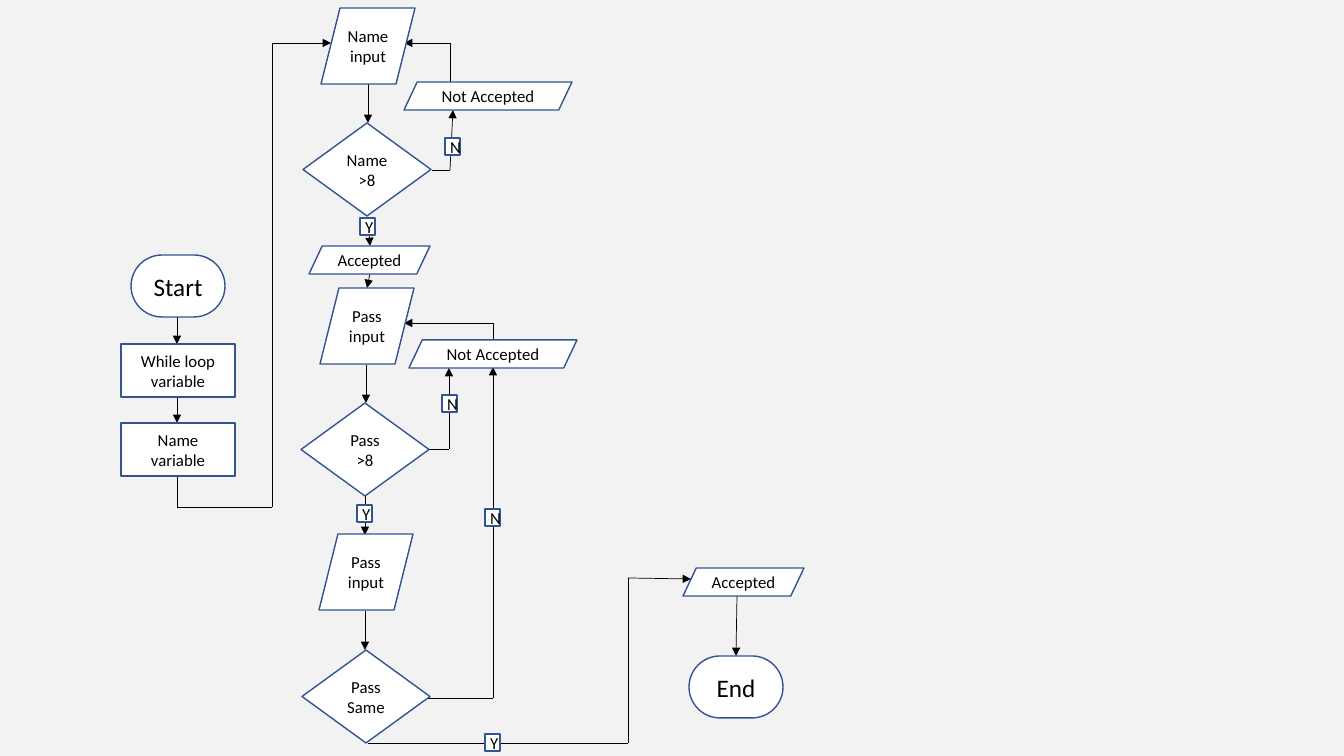
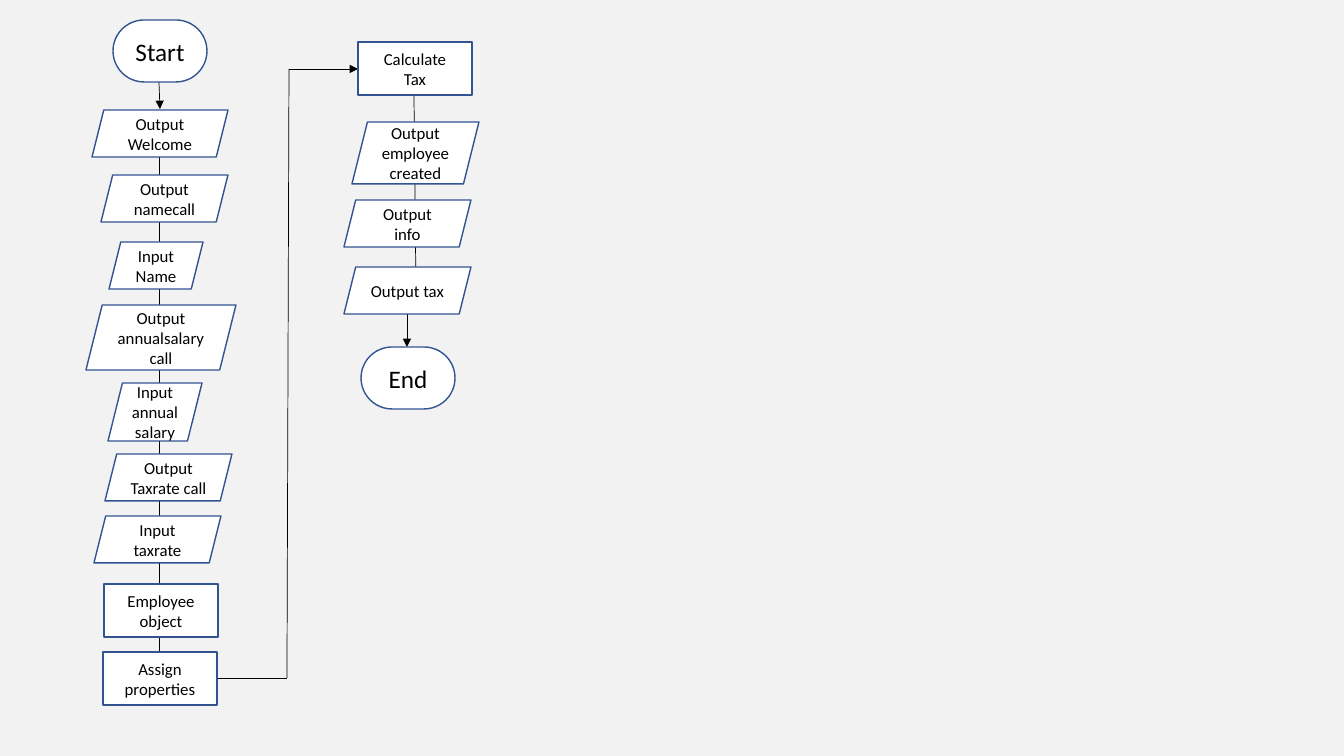
"""Builds two flowchart slides: a sign-up check and a payroll program."""
from dataclasses import dataclass
from itertools import pairwise

from pptx import Presentation
from pptx.dml.color import RGBColor
from pptx.enum.shapes import MSO_CONNECTOR, MSO_SHAPE
from pptx.enum.text import MSO_ANCHOR, PP_ALIGN
from pptx.oxml.ns import qn
from pptx.slide import Slide
from pptx.util import Emu, Pt
from lxml.etree import SubElement

EMU_PER_PX = 914400 / 100.8
COLORS = {"back": "F2F2F2", "box": "FFFFFF", "outline": "325491", "ink": "000000"}
FONT = "Calibri"


@dataclass(frozen=True)
class Kind:
    shape: MSO_SHAPE
    w: int
    h: int
    adj: float | None = None
    size: int = 12


@dataclass(frozen=True)
class Node:
    kind: Kind
    x: int
    y: int
    text: str
    w: int | None = None
    h: int | None = None


@dataclass(frozen=True)
class Route:
    points: list[tuple[int, int]]
    arrow: bool = True


TERMINAL = Kind(MSO_SHAPE.ROUNDED_RECTANGLE, 94, 62, 0.5, 18)
PROCESS = Kind(MSO_SHAPE.RECTANGLE, 114, 53)
DECISION = Kind(MSO_SHAPE.FLOWCHART_DECISION, 128, 93)
PROMPT = Kind(MSO_SHAPE.PARALLELOGRAM, 94, 76)
MESSAGE = Kind(MSO_SHAPE.PARALLELOGRAM, 121, 28, 0.472)
REJECT = Kind(MSO_SHAPE.PARALLELOGRAM, 168, 28, 0.472)
DATA = Kind(MSO_SHAPE.PARALLELOGRAM, 127, 47)
TAG = Kind(MSO_SHAPE.RECTANGLE, 15, 17)

SIGN_UP_ROUTES = [
    Route([(177, 317), (177, 344)]),
    Route([(177, 397), (177, 423)]),
    Route([(177, 477), (177, 507), (272, 507), (272, 43), (331, 43)]),
    Route([(368, 84), (368, 123)]),
    Route([(368, 217), (370, 246)]),
    Route([(370, 274), (367, 288)]),
    Route([(366, 365), (366, 403)]),
    Route([(365, 496), (365, 535)]),
    Route([(365, 611), (365, 650)]),
    Route([(368, 743), (628, 743), (628, 578), (691, 579)]),
    Route([(737, 596), (736, 656)]),
    Route([(450, 82), (450, 43), (404, 43)]),
    Route([(432, 170), (450, 170), (453, 110)]),
    Route([(493, 340), (493, 323), (404, 323)]),
    Route([(414, 449), (449, 449), (449, 368)]),
    Route([(414, 698), (493, 698), (493, 367)]),
]
SIGN_UP_NODES = [
    Node(TERMINAL, 131, 255, "Start"),
    Node(PROCESS, 121, 344, "While loop variable"),
    Node(PROCESS, 121, 423, "Name variable"),
    Node(PROMPT, 321, 8, "Name input"),
    Node(DECISION, 303, 123, "Name>8"),
    Node(REJECT, 404, 82, "Not Accepted"),
    Node(MESSAGE, 309, 246, "Accepted"),
    Node(PROMPT, 320, 288, "Pass input"),
    Node(DECISION, 301, 403, "Pass >8"),
    Node(REJECT, 409, 340, "Not Accepted"),
    Node(PROMPT, 319, 534, "Pass input"),
    Node(DECISION, 302, 650, "Pass Same"),
    Node(MESSAGE, 683, 568, "Accepted"),
    Node(TERMINAL, 689, 656, "End"),
    Node(TAG, 360, 218, "Y"),
    Node(TAG, 357, 505, "Y"),
    Node(TAG, 485, 734, "Y"),
    Node(TAG, 445, 138, "N"),
    Node(TAG, 442, 395, "N"),
    Node(TAG, 485, 509, "N"),
]

PAYROLL_ROUTES = [
    Route([(414, 96), (416, 289)], arrow=False),
    Route([(159, 157), (159, 678)], arrow=False),
    Route([(159, 82), (160, 109)]),
    Route([(217, 678), (287, 678), (289, 69), (358, 69)]),
    Route([(407, 314), (407, 347)]),
]
PAYROLL_NODES = [
    Node(TERMINAL, 113, 20, "Start"),
    Node(DATA, 92, 110, "Output\nWelcome", w=136),
    Node(DATA, 101, 175, "Output namecall"),
    Node(DATA, 109, 242, "Input\nName", w=94),
    Node(DATA, 86, 305, "Output annualsalary call", w=150, h=65),
    Node(DATA, 108, 383, "Input annual\nsalary", w=94, h=58),
    Node(DATA, 105, 454, "Output Taxrate call"),
    Node(DATA, 94, 516, "Input taxrate"),
    Node(PROCESS, 104, 584, "Employee object"),
    Node(PROCESS, 103, 652, "Assign properties"),
    Node(PROCESS, 358, 42, "Calculate\nTax"),
    Node(DATA, 352, 122, "Output employee created", h=62),
    Node(DATA, 344, 200, "Output info"),
    Node(DATA, 344, 267, "Output tax"),
    Node(TERMINAL, 361, 347, "End"),
]


def px(n: int) -> Emu:
    return Emu(round(n * EMU_PER_PX))


def color(name: str) -> RGBColor:
    return RGBColor.from_string(COLORS[name])


def draw_route(s: Slide, route: Route) -> None:
    for start, end in pairwise(route.points):
        cn = s.shapes.add_connector(
            MSO_CONNECTOR.STRAIGHT, *(px(n) for n in (*start, *end))
        )
        cn.line.color.rgb = color("ink")
        cn.line.width = Pt(0.5)
        spPr = cn._element.spPr
        SubElement(spPr, qn("a:effectLst"))
    if route.arrow:
        SubElement(spPr.find(qn("a:ln")), qn("a:tailEnd"), type="triangle")


def draw_node(s: Slide, node: Node) -> None:
    kind = node.kind
    w, h = node.w or kind.w, node.h or kind.h
    sp = s.shapes.add_shape(kind.shape, px(node.x), px(node.y), px(w), px(h))
    if kind.adj is not None:
        sp.adjustments[0] = kind.adj
    sp.shadow.inherit = False
    sp.fill.solid()
    sp.fill.fore_color.rgb = color("box")
    sp.line.color.rgb = color("outline")
    sp.line.width = Pt(1)
    tf = sp.text_frame
    tf.word_wrap = True
    tf.vertical_anchor = MSO_ANCHOR.MIDDLE
    for i, text in enumerate(node.text.split("\n")):
        p = tf.add_paragraph() if i else tf.paragraphs[0]
        p.alignment = PP_ALIGN.CENTER
        r = p.add_run()
        r.text = text
        r.font.name = FONT
        r.font.size = Pt(kind.size)
        r.font.color.rgb = color("ink")


def add_flowchart(prs: Presentation, routes: list[Route], nodes: list[Node]) -> None:
    s = prs.slides.add_slide(prs.slide_layouts[6])
    for route in routes:
        draw_route(s, route)
    for node in nodes:
        draw_node(s, node)


prs = Presentation()
prs.slide_width, prs.slide_height = px(1344), px(756)
back = prs.slide_master.background.fill
back.solid()
back.fore_color.rgb = color("back")
add_flowchart(prs, SIGN_UP_ROUTES, SIGN_UP_NODES)
add_flowchart(prs, PAYROLL_ROUTES, PAYROLL_NODES)
prs.save("out.pptx")
